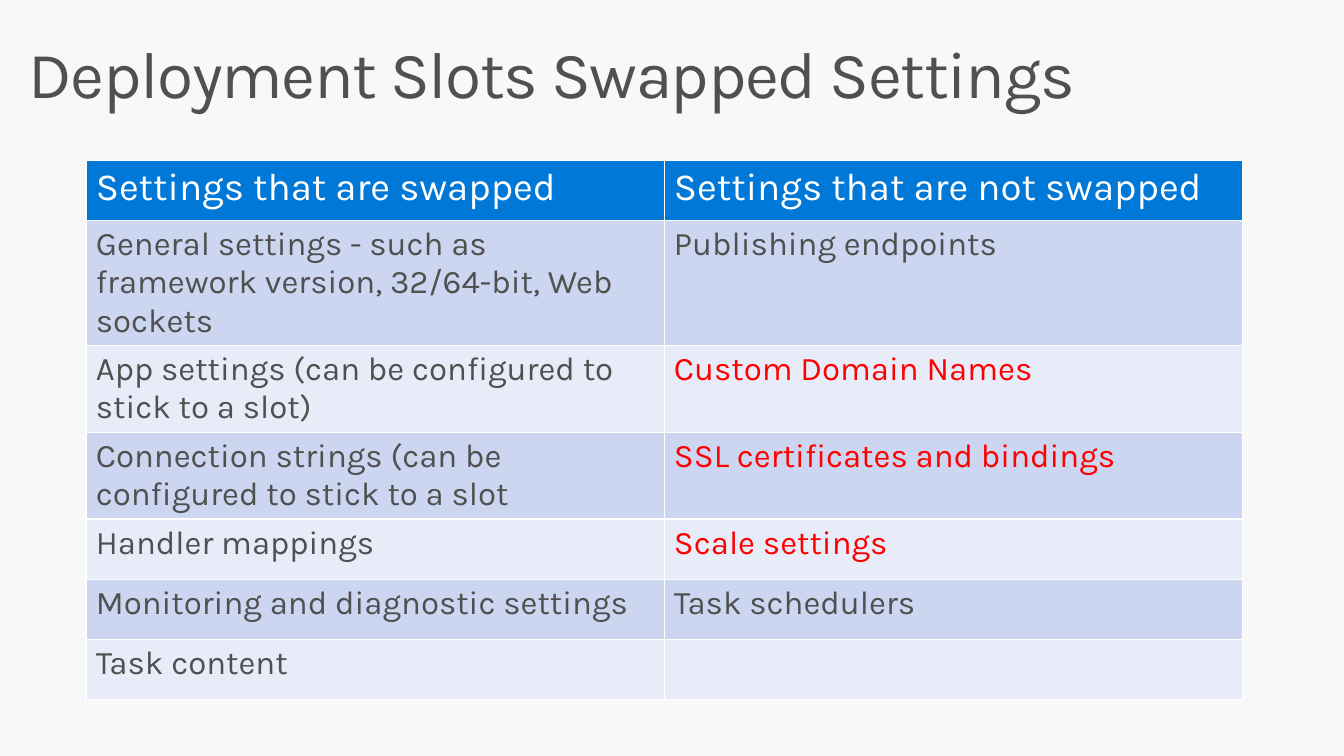
from lxml import etree
from pptx import Presentation
from pptx.dml.color import RGBColor
from pptx.enum.text import MSO_ANCHOR, PP_ALIGN
from pptx.oxml.ns import qn
from pptx.util import Pt

PX = 9144  # EMU per px, 100 px to the inch
TOP, LEFT = MSO_ANCHOR.TOP, PP_ALIGN.LEFT

BACKGROUND = RGBColor(0xF8, 0xF8, 0xF8)
TEXT = RGBColor(0x50, 0x50, 0x50)
WHITE = RGBColor(0xFF, 0xFF, 0xFF)
RED = RGBColor(0xFF, 0x00, 0x00)
HEADER = RGBColor(0x00, 0x78, 0xD7)
BAND_DARK = RGBColor(0xCC, 0xD6, 0xF0)
BAND_LIGHT = RGBColor(0xE7, 0xEC, 0xF8)

TITLE_FONT = {"name": "Karla", "size": Pt(48), "bold": False}
HEADER_FONT = {"name": "Karla", "size": Pt(28), "bold": False}
BODY_FONT = {"name": "Karla", "size": Pt(24), "bold": False}

SETTINGS = [
    ("Settings that are swapped", "Settings that are not swapped"),
    ("General settings - such as framework version, 32/64-bit, Web sockets",
     "Publishing endpoints"),
    ("App settings (can be configured to stick to a slot)",
     "Custom Domain Names"),
    ("Connection strings (can be configured to stick to a slot",
     "SSL certificates and bindings"),
    ("Handler mappings", "Scale settings"),
    ("Monitoring and diagnostic settings", "Task schedulers"),
    ("Task content", ""),
]
HIGHLIGHTED = {"Custom Domain Names", "SSL certificates and bindings",
               "Scale settings"}


def px(*lengths):
    return [n * PX for n in lengths]


def add_run(p, text, font, color):
    r = p.add_run()
    r.text = text
    for name, value in font.items():
        setattr(r.font, name, value)
    r.font.color.rgb = color
    return r


def set_borders(cell):
    """Draw white lines on all sides; they must precede the fill in tcPr."""
    tcPr = cell._tc.get_or_add_tcPr()
    for i, side in enumerate(("lnL", "lnR", "lnT", "lnB")):
        ln = etree.Element(qn(f"a:{side}"), w=str(Pt(1)))
        fill = etree.SubElement(ln, qn("a:solidFill"))
        etree.SubElement(fill, qn("a:srgbClr"), val=str(WHITE))
        tcPr.insert(i, ln)


def add_title(s, text):
    sp = s.shapes.title
    sp.left, sp.top, sp.width, sp.height = px(13, 32, 1317, 100)
    tf = sp.text_frame
    tf.margin_left, tf.margin_top, tf.margin_right, tf.margin_bottom = px(
        16, 10, 16, 10)
    tf.vertical_anchor, tf.word_wrap = TOP, True
    p = tf.paragraphs[0]
    p.alignment, p.line_spacing = LEFT, 0.9
    r = add_run(p, text, TITLE_FONT, TEXT)
    r.font._element.set("spc", "-100")


def fill_cell(cell, text, is_header, band):
    cell.fill.solid()
    cell.fill.fore_color.rgb = HEADER if is_header else band
    set_borders(cell)
    if text:
        color = WHITE if is_header else RED if text in HIGHLIGHTED else TEXT
        font = HEADER_FONT if is_header else BODY_FONT
        add_run(cell.text_frame.paragraphs[0], text, font, color)


def add_settings_table(s):
    rows, cols = len(SETTINGS), len(SETTINGS[0])
    table = s.shapes.add_table(rows, cols, *px(87, 162, 1170, 61 * rows)).table
    for i, texts in enumerate(SETTINGS):
        band = BAND_DARK if i % 2 else BAND_LIGHT
        for j, text in enumerate(texts):
            fill_cell(table.cell(i, j), text, i == 0, band)


def main():
    prs = Presentation()
    prs.slide_width, prs.slide_height = px(1360, 765)
    s = prs.slides.add_slide(prs.slide_layouts[5])
    s.background.fill.solid()
    s.background.fill.fore_color.rgb = BACKGROUND
    add_title(s, "Deployment Slots Swapped Settings")
    add_settings_table(s)
    prs.save("out.pptx")


if __name__ == "__main__":
    main()
